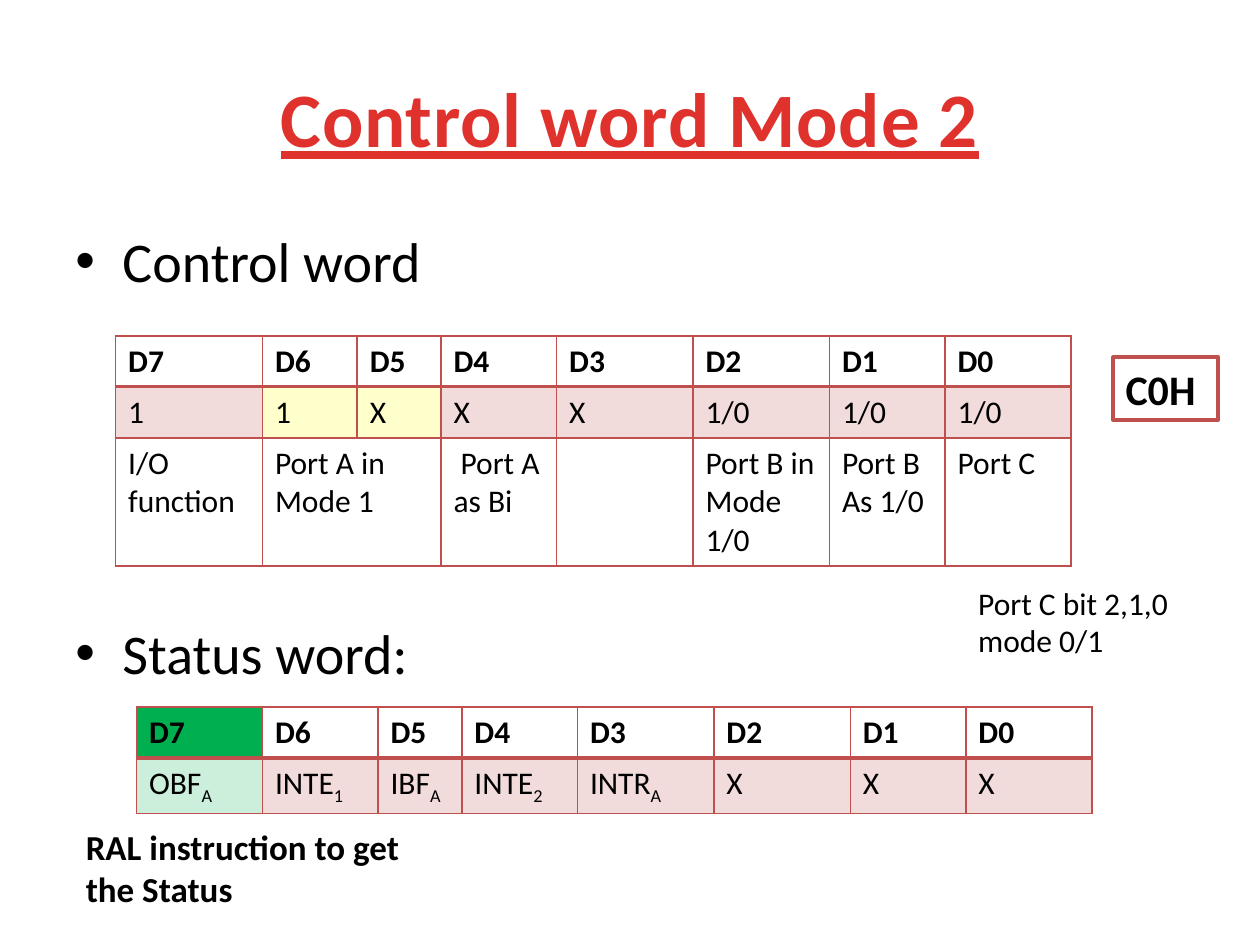
from dataclasses import dataclass

from lxml.etree import SubElement
from pptx import Presentation
from pptx.dml.color import RGBColor as RGB
from pptx.enum.shapes import MSO_SHAPE as SHAPE
from pptx.enum.text import MSO_ANCHOR as ANCHOR, PP_ALIGN as ALIGN
from pptx.oxml.ns import qn
from pptx.util import Cm, Pt


@dataclass(frozen=True)
class Theme:
    font: str = "Calibri"
    title: RGB = RGB(0xE0, 0x32, 0x2D)
    text: RGB = RGB(0, 0, 0)
    white: RGB = RGB(0xFF, 0xFF, 0xFF)
    accent: RGB = RGB(0xC0, 0x50, 0x4D)
    yellow: RGB = RGB(0xFF, 0xFF, 0)
    green: RGB = RGB(0, 0xB0, 0x50)
    title_size: int = 44
    bullet_size: int = 32
    code_size: int = 24
    caption_size: int = 20
    body_size: int = 18


THEME = Theme()
BITS = [f"D{n}" for n in range(7, -1, -1)]


def format_run(r, size, bold=False, color=THEME.text):
    r.font.name = THEME.font
    r.font.size = Pt(size)
    r.font.bold = bold
    r.font.color.rgb = color


def place(sp, left, top, width, height):
    sp.left, sp.top, sp.width, sp.height = Cm(left), Cm(top), Cm(width), Cm(height)


def set_title(slide, text):
    sp = slide.shapes.title
    place(sp, 1.27, 0.76, 22.86, 3.18)
    tf = sp.text_frame
    tf.vertical_anchor = ANCHOR.MIDDLE
    tf.text = text
    p = tf.paragraphs[0]
    p.alignment = ALIGN.CENTER
    r = p.runs[0]
    format_run(r, THEME.title_size, True, THEME.title)
    r.font.underline = True
    r.font._element.set("spc", "50")


def add_text(slide, text, left, top, width, height, size, bold=False):
    sp = slide.shapes.add_textbox(Cm(left), Cm(top), Cm(width), Cm(height))
    tf = sp.text_frame
    tf.word_wrap = True
    tf.text = text
    for p in tf.paragraphs:
        format_run(p.runs[0], size, bold)
    return tf


def add_bullets(slide, text, gap):
    tf = add_text(slide, text, 1.27, 4.45, 22.86, 12.57, THEME.bullet_size)
    for i, p in enumerate(tf.paragraphs):
        if i:
            p.space_before = Pt(gap)
        pPr = p._p.get_or_add_pPr()
        pPr.set("marL", str(Cm(0.95)))
        pPr.set("indent", str(-Cm(0.95)))
        SubElement(pPr, qn("a:buFont")).set("typeface", "Arial")
        SubElement(pPr, qn("a:buChar")).set("char", "•")


def add_code_box(slide, text):
    sp = slide.shapes.add_shape(SHAPE.RECTANGLE, Cm(22.44), Cm(7.2), Cm(2.12), Cm(1.27))
    sp.shadow.inherit = False
    sp.fill.solid()
    sp.fill.fore_color.rgb = THEME.white
    sp.line.color.rgb = THEME.accent
    sp.line.width = Pt(2)
    sp.text_frame.text = text
    p = sp.text_frame.paragraphs[0]
    p.alignment = ALIGN.LEFT
    format_run(p.runs[0], THEME.code_size, True)


def set_borders(cell, top, bottom):
    tcPr = cell._tc.get_or_add_tcPr()
    for side, width in (("L", 1), ("R", 1), ("T", top), ("B", bottom)):
        ln = SubElement(tcPr, qn(f"a:ln{side}"), w=str(Pt(width)))
        fill = SubElement(ln, qn("a:solidFill"))
        SubElement(fill, qn("a:srgbClr"), val=str(THEME.accent))


def fill_cell(cell, color, alpha=100):
    cell.fill.solid()
    cell.fill.fore_color.rgb = color
    if alpha < 100:
        clr = cell._tc.tcPr.find(qn("a:solidFill"))[0]
        SubElement(clr, qn("a:alpha"), val=str(alpha * 1000))


def write_cell(cell, text, bold):
    cell.text_frame.text = text
    for p in cell.text_frame.paragraphs:
        base, _, sub = p.text.partition("_")
        p.text = base
        if sub:
            r = p.add_run()
            r.text = sub
            r.font._element.set("baseline", "-25000")
        for r in p.runs:
            format_run(r, THEME.body_size, bold)


def add_bit_table(slide, left, top, widths, heights, rows):
    frame = slide.shapes.add_table(len(rows), len(widths), Cm(left), Cm(top),
                                   Cm(sum(widths)), Cm(sum(heights)))
    table = frame.table
    for col, width in zip(table.columns, widths):
        col.width = Cm(width)
    for i, (row, height) in enumerate(zip(rows, heights)):
        table.rows[i].height = Cm(height)
        for j, text in enumerate(row):
            cell = table.cell(i, j)
            set_borders(cell, 2 if i == 1 else 1, 2 if i == 0 else 1)
            if i == 1:
                fill_cell(cell, THEME.accent, 20)
            else:
                cell.fill.background()
            write_cell(cell, text, i == 0)
    return table


def main():
    prs = Presentation()
    prs.slide_width, prs.slide_height = Cm(25.4), Cm(19.05)
    slide = prs.slides.add_slide(prs.slide_layouts[5])
    set_title(slide, "Control word Mode 2")
    add_bullets(slide, "Control word\nStatus word:", 185.5)

    shared_widths = [1.69, 2.33, 2.75, 2.75, 2.33, 2.54]
    control = add_bit_table(slide, 2.33, 6.77, [2.96, 1.91] + shared_widths, [1.03, 1.03, 2.58], [
        BITS,
        ["1", "1", "X", "X", "X", "1/0", "1/0", "1/0"],
        ["I/O\nfunction", "Port A in Mode 1", "", "Port A as Bi", "",
         "Port B in\nMode 1/0", "Port B\nAs 1/0", "Port C"],
    ])
    control.cell(2, 1).merge(control.cell(2, 2))
    for j in (1, 2):
        fill_cell(control.cell(1, j), THEME.yellow, 20)
    port_a = control.cell(2, 3).text_frame.paragraphs[0]
    port_a._p.get_or_add_pPr().set("indent", str(Cm(0.14)))

    add_text(slide, "Port C bit 2,1,0 mode 0/1", 19.47, 11.64, 4.66, 1.8, THEME.body_size)
    add_code_box(slide, "C0H")

    status = add_bit_table(slide, 2.75, 14.25, [2.54, 2.33] + shared_widths, [1.03, 1.11], [
        BITS,
        ["OBF_A", "INTE_1", "IBF_A", "INTE_2", "INTR_A", "X", "X", "X"],
    ])
    for i in (0, 1):
        fill_cell(status.cell(i, 0), THEME.green)

    add_text(slide, "RAL instruction to get the Status", 1.48, 16.51, 7.41, 1.96,
             THEME.caption_size, True)
    prs.save("out.pptx")


if __name__ == "__main__":
    main()
